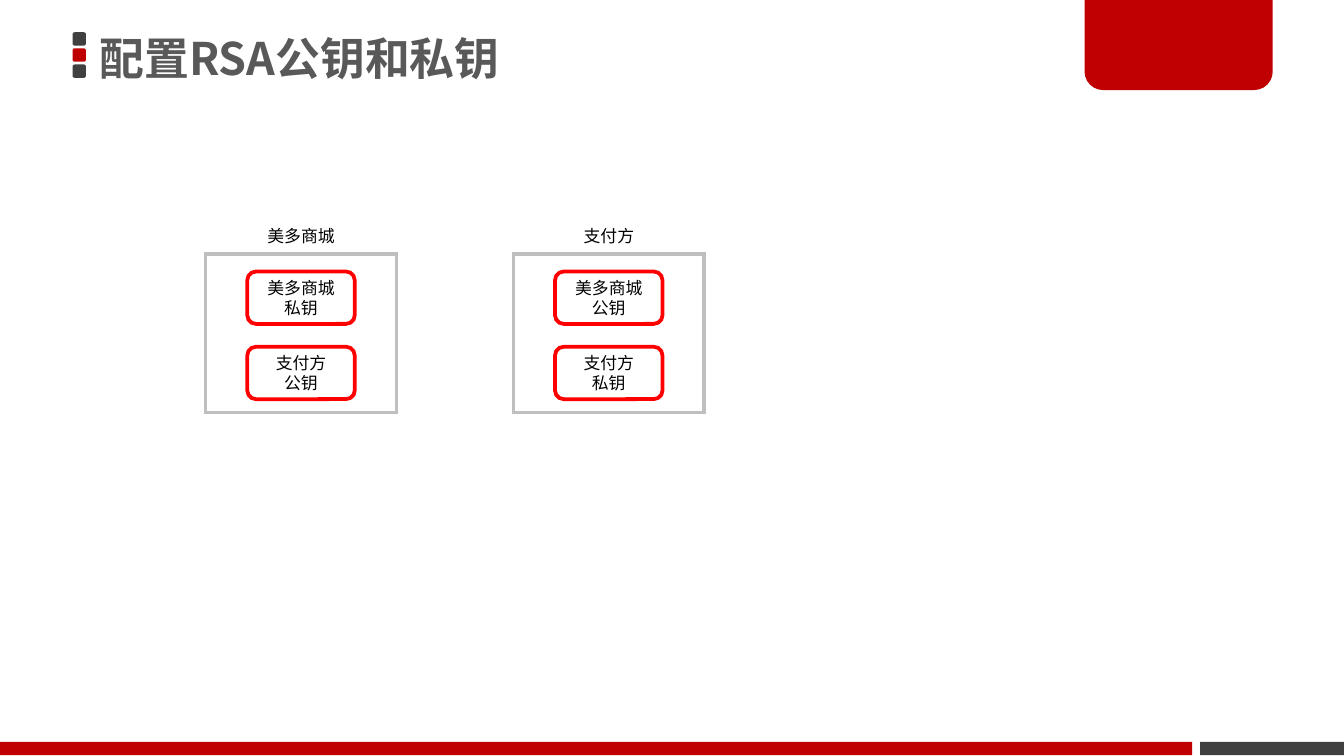
import pptx
import pptx.util
import pptx.dml.color
import pptx.enum.shapes
import pptx.enum.text
import pptx.oxml.ns
import lxml.etree

Inches = pptx.util.Inches
SHAPE = pptx.enum.shapes.MSO_SHAPE
ALIGN = pptx.enum.text.PP_ALIGN
ANCHOR = pptx.enum.text.MSO_ANCHOR
SIZE = pptx.enum.text.MSO_AUTO_SIZE

FONT = "Noto Sans CJK SC"
RED, DARK, GREY = "C00000", "404040", "BFBFBF"
SHOP, PAYER = "美多商城", "支付方"


def color(code):
    return pptx.dml.color.RGBColor.from_string(code)


def add_run(para, text, size, code, bold=False):
    """Add a run whose font covers Latin and East Asian letters."""
    run = para.add_run()
    run.text = text
    font = run.font
    font.size = pptx.util.Pt(size)
    font.bold = bold
    font.color.rgb = color(code)
    font.name = FONT
    latin = run._r.rPr.find(pptx.oxml.ns.qn("a:latin"))
    east = lxml.etree.Element(pptx.oxml.ns.qn("a:ea"), typeface=FONT)
    latin.addnext(east)


def add_lines(frame, lines):
    for i, line in enumerate(lines):
        para = frame.add_paragraph() if i else frame.paragraphs[0]
        para.alignment = ALIGN.CENTER
        add_run(para, line, 9, "000000")


def add_block(shapes, kind, place, fill=None, line=None):
    block = shapes.add_shape(kind, *map(Inches, place))
    block.shadow.inherit = False
    if fill:
        block.fill.solid()
        block.fill.fore_color.rgb = color(fill)
    else:
        block.fill.background()
    if line:
        block.line.color.rgb = color(line)
        block.line.width = pptx.util.Pt(2)
        edge = block.line.fill._xPr
        lxml.etree.SubElement(edge, pptx.oxml.ns.qn("a:miter"), lim="800000")
    else:
        block.line.fill.background()
    return block


def add_label(shapes, text, mid, top):
    width = 0.2 + 0.125 * len(text)
    label = shapes.add_textbox(
        Inches(mid - width / 2), Inches(top), Inches(width), Inches(0.25))
    label.text_frame.word_wrap = False
    label.text_frame.auto_size = SIZE.SHAPE_TO_FIT_TEXT
    add_lines(label.text_frame, [text])


def add_owner(slide, left, name, keys):
    """Draw a framed party with its label and the keys it holds."""
    shapes = slide.shapes.add_group_shape().shapes
    add_block(shapes, SHAPE.RECTANGLE, (left, 1.89, 1.42, 1.18), line=GREY)
    add_label(shapes, name, left + 0.71, 1.63)
    for i, lines in enumerate(keys):
        place = (left + 0.31, 2.02 + 0.56 * i, 0.8, 0.39)
        box = add_block(shapes, SHAPE.ROUNDED_RECTANGLE, place, "FFFFFF", "FF0000")
        box.text_frame.vertical_anchor = ANCHOR.MIDDLE
        box.text_frame.word_wrap = True
        add_lines(box.text_frame, lines)


def add_frame(slide):
    """Draw the title marks, the corner tab and the footer bars."""
    marks = slide.shapes.add_group_shape().shapes
    for i, fill in enumerate((DARK, RED, DARK)):
        add_block(marks, SHAPE.ROUNDED_RECTANGLE,
                  (0.54, 0.24 + 0.12 * i, 0.1, 0.1), fill)
    add_block(slide.shapes, SHAPE.RECTANGLE, (8.93, 5.52, 1.07, 0.1), DARK)
    tab = add_block(slide.shapes, SHAPE.ROUND_2_SAME_RECTANGLE,
                    (8.07, -0.02, 1.4, 0.69), RED)
    tab.adjustments[0] = 0
    tab.adjustments[1] = 0.2
    add_block(slide.shapes, SHAPE.RECTANGLE, (0, 5.52, 8.87, 0.1), RED)


def set_title(slide, text):
    title = slide.shapes.title
    title.left, title.top = Inches(0.66), Inches(0.01)
    title.width, title.height = Inches(5.02), Inches(0.89)
    frame = title.text_frame
    frame.margin_left = frame.margin_right = Inches(0.08)
    frame.margin_top = frame.margin_bottom = Inches(0.04)
    frame.vertical_anchor = ANCHOR.MIDDLE
    frame.word_wrap = True
    frame.auto_size = SIZE.NONE
    para = frame.paragraphs[0]
    para.alignment = ALIGN.LEFT
    para.line_spacing = 0.9
    add_run(para, text, 24, "595959", True)


def main():
    deck = pptx.Presentation()
    deck.slide_width = Inches(10)
    deck.slide_height = deck.slide_width * 9 // 16
    slide = deck.slides.add_slide(deck.slide_layouts[5])
    add_frame(slide)
    owners = (SHOP, PAYER)
    for i, owner in enumerate(owners):
        keys = [(name, "私钥" if name == owner else "公钥") for name in owners]
        add_owner(slide, 1.53 + 2.29 * i, owner, keys)
    set_title(slide, "配置RSA公钥和私钥")
    deck.save("out.pptx")


if __name__ == "__main__":
    main()
